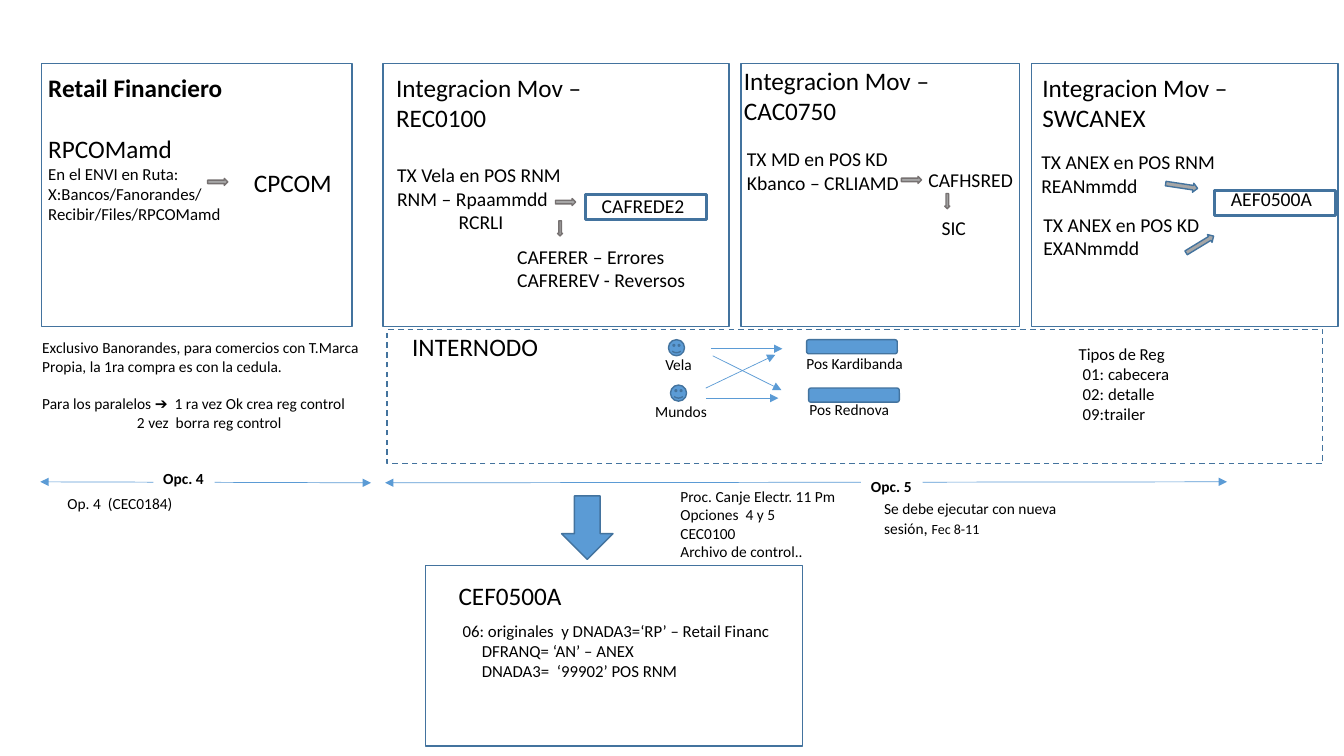
from pptx import Presentation
from pptx.dml.color import RGBColor
from pptx.enum.dml import MSO_LINE
from pptx.enum.shapes import MSO_CONNECTOR, MSO_SHAPE
from pptx.enum.text import MSO_AUTO_SIZE
from pptx.oxml.ns import qn
from pptx.util import Inches, Pt
from lxml.etree import SubElement

BLUE, EDGE, WHITE, BLACK = "5B9BD5", "43739E", "FFFFFF", "000000"
GRAY, GRAY_EDGE = "A6A6A6", "767171"
PANEL_TOP, PANEL_HEIGHT = 0.63, 2.61


def color(target, hex_value):
    """Apply a hex colour to a fill, line or font."""
    if hasattr(target, "solid"):
        target.solid()
        target.fore_color.rgb = RGBColor.from_string(hex_value)
    else:
        target.color.rgb = RGBColor.from_string(hex_value)


def add_block(slide, kind, left, top, width, height, fill=None, edge=EDGE,
              weight=1, rotation=0):
    """Draw an outlined preset shape, unfilled unless a fill is given."""
    block = slide.shapes.add_shape(kind, Inches(left), Inches(top),
                                   Inches(width), Inches(height))
    block.shadow.inherit = False
    block.rotation = rotation
    if fill:
        color(block.fill, fill)
    else:
        block.fill.background()
    color(block.line, edge)
    block.line.width = Pt(weight)
    return block


def style(paragraph, size, bold=False, indent=0, before=0):
    """Set font, left indent (inches) and space before (points)."""
    font = paragraph.font
    font.name, font.size, font.bold = "Calibri", Pt(size), bold
    color(font, BLACK)
    if before:
        paragraph.space_before = Pt(before)
    if indent:
        properties = paragraph._p.get_or_add_pPr()
        properties.set("marL", str(Inches(indent)))
        properties.set("indent", "0")


def add_text(slide, left, top, width, height, lines, size, wrap=False,
             bold=False, fill=None):
    """Write one paragraph per line; a line may be (text, style overrides)."""
    label = slide.shapes.add_textbox(Inches(left), Inches(top),
                                     Inches(width), Inches(height))
    if fill:
        color(label.fill, fill)
    frame = label.text_frame
    frame.word_wrap = wrap
    frame.auto_size = MSO_AUTO_SIZE.SHAPE_TO_FIT_TEXT
    for index, line in enumerate(lines):
        text, overrides = (line, {}) if isinstance(line, str) else line
        paragraph = frame.add_paragraph() if index else frame.paragraphs[0]
        paragraph.text = text
        style(paragraph, **{"size": size, "bold": bold, **overrides})
    return frame


def add_arrow(slide, start, end, double=False):
    """Draw a thin arrow from start to end, optionally with two heads."""
    arrow = slide.shapes.add_connector(
        MSO_CONNECTOR.STRAIGHT, *(Inches(value) for value in (*start, *end)))
    color(arrow.line, BLUE)
    arrow.line.width = Pt(0.5)
    outline = arrow.line._get_or_add_ln()
    for tag in ("a:headEnd", "a:tailEnd") if double else ("a:tailEnd",):
        SubElement(outline, qn(tag), type="triangle")
    SubElement(arrow._element.spPr, qn("a:effectLst"))


def add_flow_arrows(slide):
    """Draw the small gray arrows between files."""
    for left, top, width, height, rotation, edge in (
            (2.06, 1.77, 0.2, 0.07, 0, GRAY_EDGE),
            (5.51, 1.97, 0.2, 0.07, 0, GRAY_EDGE),
            (8.94, 1.75, 0.2, 0.07, 0, GRAY_EDGE),
            (9.32, 1.97, 0.15, 0.05, 90, GRAY_EDGE),
            (5.48, 2.24, 0.15, 0.05, 90, GRAY_EDGE),
            (11.74, 2.38, 0.32, 0.09, 328.6, EDGE),
            (11.56, 1.8, 0.32, 0.09, 8.6, EDGE)):
        add_block(slide, MSO_SHAPE.RIGHT_ARROW, left, top, width, height,
                  GRAY, edge, rotation=rotation)


def add_sources(slide):
    """Build the four source panels of the top row."""
    for left, width, fill in ((0.41, 3.08, None), (3.8, 3.43, WHITE),
                              (7.35, 2.76, WHITE), (10.23, 3.04, WHITE)):
        add_block(slide, MSO_SHAPE.RECTANGLE, left, PANEL_TOP, width,
                  PANEL_HEIGHT, fill)

    add_text(slide, 0.38, 0.67, 2.25, 1.62, [
        ("Retail Financiero", {"bold": True}),
        ("RPCOMamd", {"before": 22}),
        ("En el ENVI en Ruta:", {"size": 12}),
        ("X:Bancos/Fanorandes/Recibir/Files/RPCOMamd", {"size": 12})],
        18, wrap=True)
    add_text(slide, 2.42, 1.61, 1.07, 0.4, ["CPCOM"], 18, wrap=True)

    for left, top, process in ((3.83, 0.67, "REC0100"), (7.28, 0.6, "CAC0750"),
                               (10.24, 0.67, "SWCANEX")):
        add_text(slide, left, top, 2.12, 0.71,
                 ["Integracion Mov – ", process], 18)

    for left, top, width, height, wrap, lines in (
            (3.84, 1.57, 1.92, 0.81, True,
             ["TX Vela en POS RNM", "RNM – Rpaammdd",
              ("RCRLI", {"indent": 0.61})]),
            (5.03, 2.38, 1.96, 0.57, True,
             ["CAFERER – Errores", "CAFREREV - Reversos"]),
            (7.31, 1.41, 1.77, 0.57, False,
             ["TX MD en POS KD", "Kbanco – CRLIAMD "]),
            (9.11, 1.62, 1.05, 0.81, False,
             ["CAFHSRED", ("SIC", {"indent": 0.13, "before": 17})]),
            (10.23, 1.44, 2.35, 0.57, True,
             ["TX ANEX en POS RNM", "REANmmdd"]),
            (10.25, 2.06, 2.35, 0.57, True,
             ["TX ANEX en POS KD", "EXANmmdd"])):
        add_text(slide, left, top, width, height, lines, 14, wrap)

    for left, top, text_top, output in ((5.81, 1.93, 1.87, "CAFREDE2"),
                                        (12.05, 1.89, 1.81, "AEF0500A")):
        add_block(slide, MSO_SHAPE.RECTANGLE, left, top, 1.2, 0.25,
                  weight=2.25)
        add_text(slide, left + 0.06, text_top, 1.07, 0.34, [output], 14,
                 wrap=True)


def add_networks(slide):
    """Build the dashed panel linking card brands to POS networks."""
    frame = add_block(slide, MSO_SHAPE.RECTANGLE, 3.84, 3.27, 9.28, 1.33)
    frame.line.dash_style = MSO_LINE.DASH
    add_text(slide, 3.99, 3.24, 1.5, 0.4, ["INTERNODO"], 18, wrap=True)

    for left, top in ((6.63, 3.37), (6.65, 3.82)):
        add_block(slide, MSO_SHAPE.SMILEY_FACE, left, top, 0.16, 0.16, BLUE)
    for left, top in ((8, 3.37), (8.02, 3.85)):
        add_block(slide, MSO_SHAPE.ROUNDED_RECTANGLE, left, top, 0.9, 0.14,
                  BLUE)
    for left, top, width, name in ((6.5, 3.47, 0.6, "Vela"),
                                   (6.4, 3.94, 0.85, "Mundos"),
                                   (7.9, 3.46, 1.3, "Pos Kardibanda"),
                                   (7.93, 3.92, 1.1, "Pos Rednova")):
        add_text(slide, left, top, width, 0.29, [name], 11, wrap=True)
    for start, end in (((7.05, 3.46), (7.76, 3.46)),
                       ((7.07, 3.53), (7.75, 3.87)),
                       ((7, 3.85), (7.69, 3.52)),
                       ((7, 3.95), (7.72, 3.95))):
        add_arrow(slide, start, end)

    indented = {"indent": 0.04}
    add_text(slide, 10.6, 3.36, 1.11, 0.91, [
        "Tipos de Reg", ("01: cabecera", indented), ("02: detalle", indented),
        ("09:trailer", indented)], 12)


def add_options(slide):
    """Build the option spans and the notes around them."""
    for start, end, left, top, option in (
            ((0.4, 4.78), (3.68, 4.79), 1.52, 4.61, "Opc. 4"),
            ((3.82, 4.79), (12.17, 4.78), 8.54, 4.68, "Opc. 5")):
        add_arrow(slide, start, end, double=True)
        add_text(slide, left, top, 0.61, 0.47, [option], 11, bold=True,
                 fill=WHITE)

    add_text(slide, 0.32, 3.31, 3.39, 1.03, [
        "Exclusivo Banorandes, para comercios con T.Marca Propia, "
        "la 1ra compra es con la cedula.",
        ("Para los paralelos ➔  1 ra vez Ok crea reg control",
         {"before": 13.4}),
        ("2 vez  borra reg control", {"indent": 0.94})], 11, wrap=True)
    add_text(slide, 0.57, 4.85, 3.39, 0.47, ["Op. 4  (CEC0184)"], 11,
             wrap=True)
    add_text(slide, 6.65, 4.78, 1.77, 0.84, [
        "Proc. Canje Electr. 11 Pm", "Opciones  4 y 5", "CEC0100",
        "Archivo de control.."], 11)

    session = add_text(slide, 8.67, 4.9, 1.91, 0.49, [
        "Se debe ejecutar con nueva sesión"], 11, wrap=True).paragraphs[0]
    for text, size in ((", ", 12), ("Fec 8-11", 10)):
        run = session.add_run()
        run.text = text
        run.font.size = Pt(size)


def add_result(slide):
    """Build the final process box and the arrow leading to it."""
    add_block(slide, MSO_SHAPE.DOWN_ARROW, 5.57, 4.92, 0.51, 0.63, BLUE)
    add_block(slide, MSO_SHAPE.RECTANGLE, 4.22, 5.61, 3.74, 1.79)
    add_text(slide, 4.45, 5.71, 1.23, 0.4, ["CEF0500A"], 18)
    indented = {"indent": 0.19}
    add_text(slide, 4.49, 6.11, 3.28, 0.71, [
        "06: originales  y DNADA3=‘RP’ – Retail Financ",
        ("DFRANQ= ‘AN’ – ANEX", indented),
        ("DNADA3=  ‘99902’ POS RNM", indented)], 12)


def main():
    """Assemble and save the slide."""
    deck = Presentation()
    deck.slide_width, deck.slide_height = Inches(13.33), Inches(7.5)
    slide = deck.slides.add_slide(deck.slide_layouts[6])
    add_sources(slide)
    add_flow_arrows(slide)
    add_networks(slide)
    add_options(slide)
    add_result(slide)
    deck.save("out.pptx")


main()
